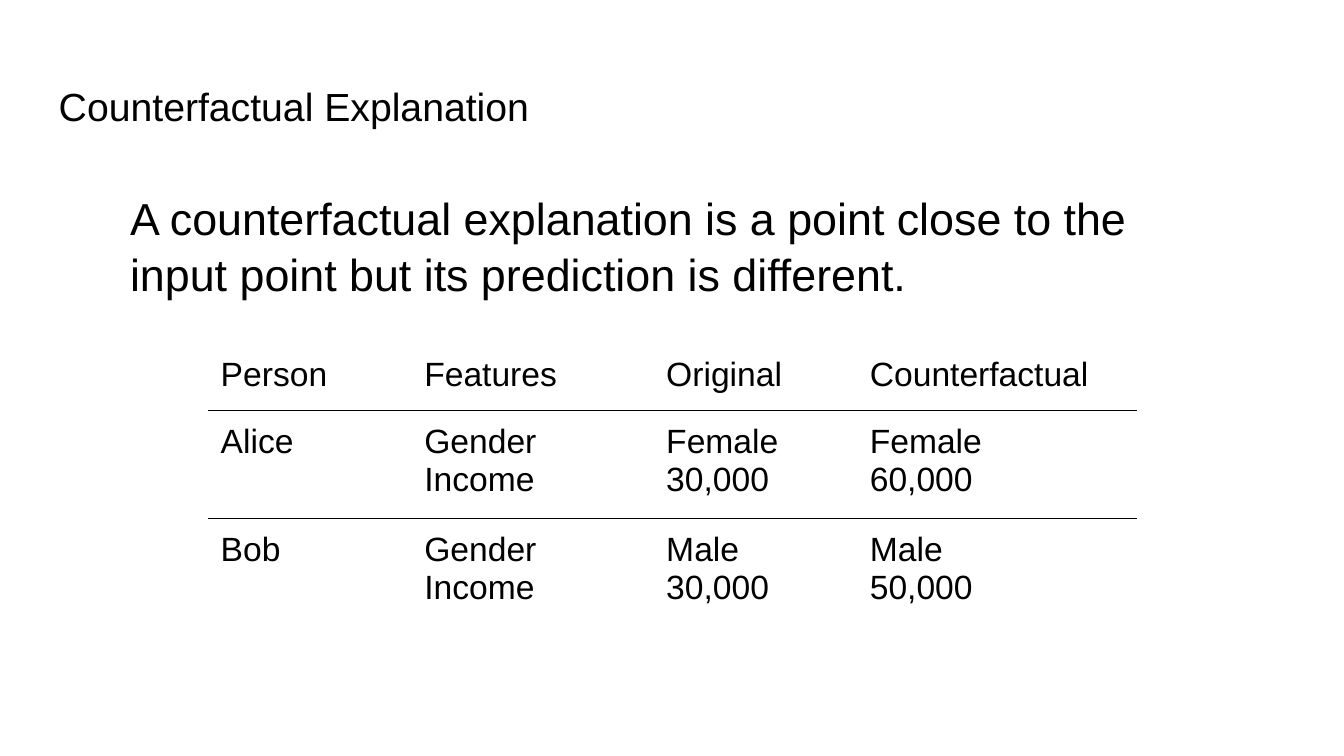
import dataclasses

import lxml.etree
import pptx
import pptx.dml.color
import pptx.enum.text
import pptx.oxml.ns
import pptx.util


@dataclasses.dataclass(frozen=True)
class Theme:
    font: str = "Arial"
    ink: str = "000000"
    paper: str = "FFFFFF"
    title: int = 28
    body: int = 32
    cell: int = 24
    rule: float = 0.75
    inset: float = 0.13
    leading: float = 1.05


class Deck:
    """Places elements by percentages of the slide's width and height."""

    def __init__(self, width, height, theme):
        self.theme = theme
        self.prs = pptx.Presentation()
        self.prs.slide_width = pptx.util.Inches(width)
        self.prs.slide_height = pptx.util.Inches(height)
        self.s = None

    def x(self, percent):
        return round(self.prs.slide_width * percent / 100)

    def y(self, percent):
        return round(self.prs.slide_height * percent / 100)

    def add_slide(self):
        self.s = self.prs.slides.add_slide(self.prs.slide_layouts[6])
        fill = self.s.background.fill
        fill.solid()
        fill.fore_color.rgb = pptx.dml.color.RGBColor.from_string(self.theme.paper)

    def style(self, tf, size, leading=None):
        for p in tf.paragraphs:
            p.line_spacing = leading
            for r in p.runs:
                r.font.name = self.theme.font
                r.font.size = pptx.util.Pt(size)
                r.font.color.rgb = pptx.dml.color.RGBColor.from_string(self.theme.ink)

    def set_margins(self, box):
        inset = pptx.util.Inches(self.theme.inset)
        box.margin_left = box.margin_right = inset
        box.margin_top = box.margin_bottom = inset

    def text(self, left, top, width, height, text, size):
        sp = self.s.shapes.add_textbox(
            self.x(left), self.y(top), self.x(width), self.y(height))
        tf = sp.text_frame
        tf.word_wrap = True
        self.set_margins(tf)
        tf.text = text
        self.style(tf, size, self.theme.leading)

    def border(self, cell, sides):
        """Draws the named sides; the line elements precede the cell's fill."""
        props = cell._tc.get_or_add_tcPr()
        qn = pptx.oxml.ns.qn
        for i, side in enumerate(sides):
            ln = lxml.etree.Element(
                qn("a:ln" + side), w=str(pptx.util.Pt(self.theme.rule)))
            fill = lxml.etree.SubElement(ln, qn("a:solidFill"))
            lxml.etree.SubElement(fill, qn("a:srgbClr"), val=self.theme.ink)
            props.insert(i, ln)

    def table(self, left, top, columns, heights, rows):
        frame = self.s.shapes.add_table(
            len(rows), len(columns), self.x(left), self.y(top),
            self.x(sum(columns)), self.y(sum(heights)))
        table = frame.table
        table.first_row = table.horz_banding = False
        # Built-in style without fills or grid lines
        style_id = table._tbl.tblPr.find(pptx.oxml.ns.qn("a:tableStyleId"))
        style_id.text = "{2D5ABB26-0587-4C30-8999-92F81FD0307C}"
        for column, width in zip(table.columns, columns):
            column.width = self.x(width)
        last = len(rows) - 1
        for i, (row, height) in enumerate(zip(rows, heights)):
            table.rows[i].height = self.y(height)
            sides = ["T"] * (i > 0) + ["B"] * (i < last)
            for j, text in enumerate(row):
                cell = table.cell(i, j)
                cell.fill.background()
                self.set_margins(cell)
                cell.vertical_anchor = pptx.enum.text.MSO_ANCHOR.TOP
                cell.text_frame.text = text
                self.style(cell.text_frame, self.theme.cell)
                self.border(cell, sides)


def main():
    theme = Theme()
    deck = Deck(13.33, 7.5, theme)
    deck.add_slide()

    # Title
    deck.text(3.4, 8.8, 93.2, 11.2, "Counterfactual Explanation", theme.title)

    # Example people and their counterfactuals
    deck.table(15.45, 45.33, [15.15, 18, 15.15, 20.85], [8.93, 14.27, 14.27], [
        ["Person", "Features", "Original", "Counterfactual"],
        ["Alice", "Gender\nIncome", "Female\n30,000", "Female\n60,000"],
        ["Bob", "Gender\nIncome", "Male\n30,000", "Male\n50,000"],
    ])

    # Definition
    deck.text(8.7, 23.1, 82.6, 22.2,
              "A counterfactual explanation is a point close to the "
              "input point but its prediction is different.", theme.body)

    deck.prs.save("out.pptx")


if __name__ == "__main__":
    main()
